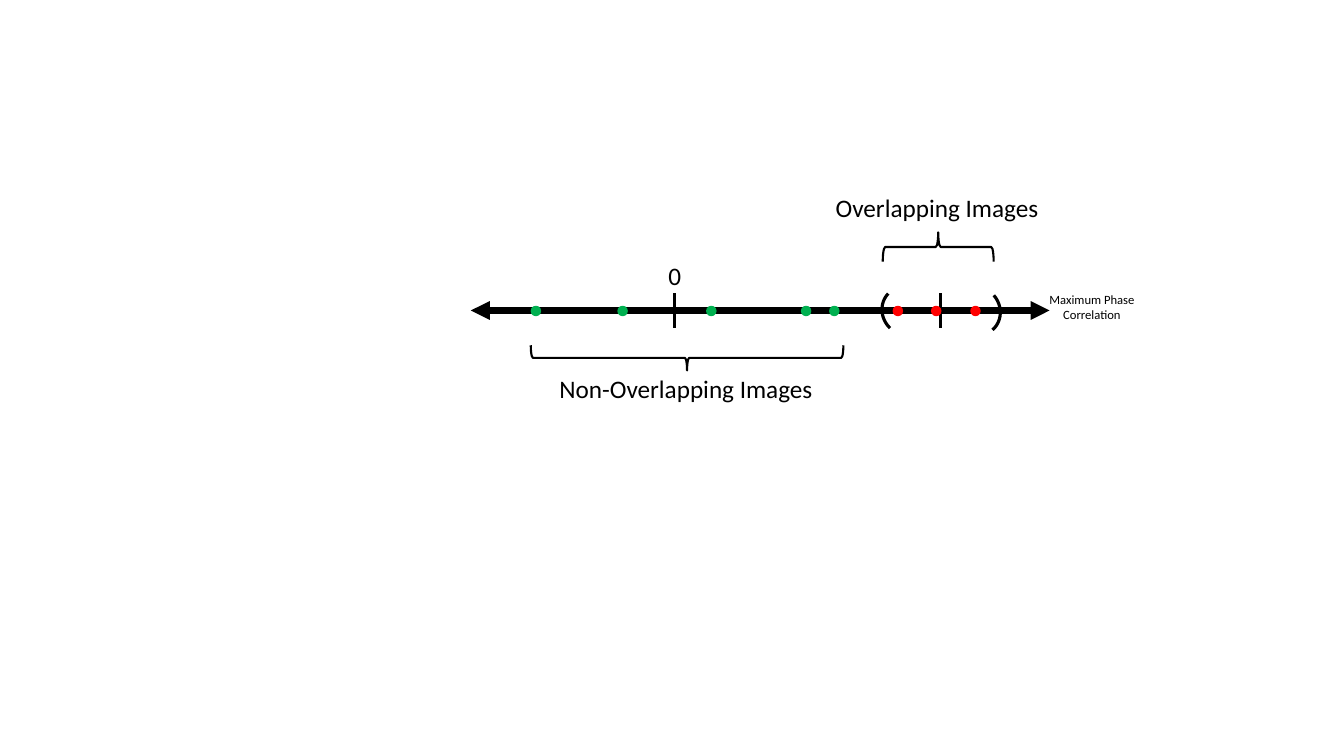
from lxml.etree import SubElement
from pptx import Presentation
from pptx.dml.color import RGBColor
from pptx.enum.shapes import MSO_CONNECTOR, MSO_SHAPE
from pptx.enum.text import MSO_AUTO_SIZE, PP_ALIGN
from pptx.oxml.ns import qn
from pptx.util import Inches, Pt

BLACK = RGBColor(0x00, 0x00, 0x00)
RED = RGBColor(0xFF, 0x00, 0x00)
GREEN = RGBColor(0x00, 0xB0, 0x50)
COLS, ROWS = 13.33, 7.5
AXIS = 3.08


def write(frame, text, size=18, color=BLACK, font="Calibri", align=PP_ALIGN.LEFT):
    frame.text = text
    for para in frame.paragraphs:
        para.alignment = align
        para.font.size = Pt(size)
        para.font.name = font
        para.font.color.rgb = color


class Sketch:
    """Draws a number line on a slide, with places in columns and rows of one inch."""

    def __init__(self, slide, ink=BLACK):
        self.shapes = slide.shapes.add_group_shape().shapes
        self.ink = ink

    def line(self, start, end, width, arrows=False):
        points = [Inches(n) for n in (*start, *end)]
        line = self.shapes.add_connector(MSO_CONNECTOR.STRAIGHT, *points)
        line.line.color.rgb = self.ink
        line.line.width = Pt(width)
        if arrows:
            for tip in ("a:headEnd", "a:tailEnd"):
                SubElement(line.line._get_or_add_ln(), qn(tip), type="triangle")
        SubElement(line._element.spPr, qn("a:effectLst"))

    def shape(self, kind, box, width, turn=0, color=None):
        shape = self.shapes.add_shape(kind, *[Inches(n) for n in box])
        shape.shadow.inherit = False
        shape.rotation = turn
        shape.line.color.rgb = color or self.ink
        shape.line.width = Pt(width)
        if color:
            shape.fill.solid()
            shape.fill.fore_color.rgb = color
        else:
            shape.fill.background()

    def tick(self, col):
        self.line((col, AXIS - 0.17), (col, AXIS + 0.17), 2.25)

    def paren(self, col, turn):
        self.shape(MSO_SHAPE.ARC, (col, 2.85, 0.5, 0.47), 2.25, turn)

    def dot(self, col, color):
        self.shape(MSO_SHAPE.OVAL, (col, 3.04, 0.09, 0.09), 1, color=color)

    def brace(self, box, turn):
        self.shape(MSO_SHAPE.LEFT_BRACE, box, 1.5, turn)

    def label(self, text, box, **style):
        frame = self.shapes.add_textbox(*[Inches(n) for n in box]).text_frame
        frame.word_wrap = False
        frame.auto_size = MSO_AUTO_SIZE.SHAPE_TO_FIT_TEXT
        write(frame, text, **style)


def main():
    deck = Presentation()
    deck.slide_width, deck.slide_height = Inches(COLS), Inches(ROWS)
    sketch = Sketch(deck.slides.add_slide(deck.slide_layouts[6]))

    sketch.line((4.67, AXIS), (10.41, AXIS), 4.5, arrows=True)
    for col in (6.69, 9.33):
        sketch.tick(col)
    for col, turn in ((8.74, 223.7), (9.43, 48.8)):
        sketch.paren(col, turn)
    for color, cols in ((RED, (8.86, 9.24, 9.63)),
                        (GREEN, (5.27, 6.13, 7.01, 7.95, 8.23))):
        for col in cols:
            sketch.dot(col, color)
    sketch.brace((9.16, 1.9, 0.29, 1.1), 90)
    sketch.brace((6.69, 2, 0.25, 3.1), 270)

    sketch.label("Overlapping Images", (8.19, 1.86, 2.23, 0.4))
    sketch.label("Non-Overlapping Images", (5.45, 3.65, 2.74, 0.4))
    sketch.label("0", (6.53, 2.53, 0.33, 0.4))
    sketch.label("Maximum Phase\nCorrelation", (10.3, 2.85, 1.06, 0.4),
                 size=9, align=PP_ALIGN.CENTER)
    deck.save("out.pptx")


if __name__ == "__main__":
    main()
